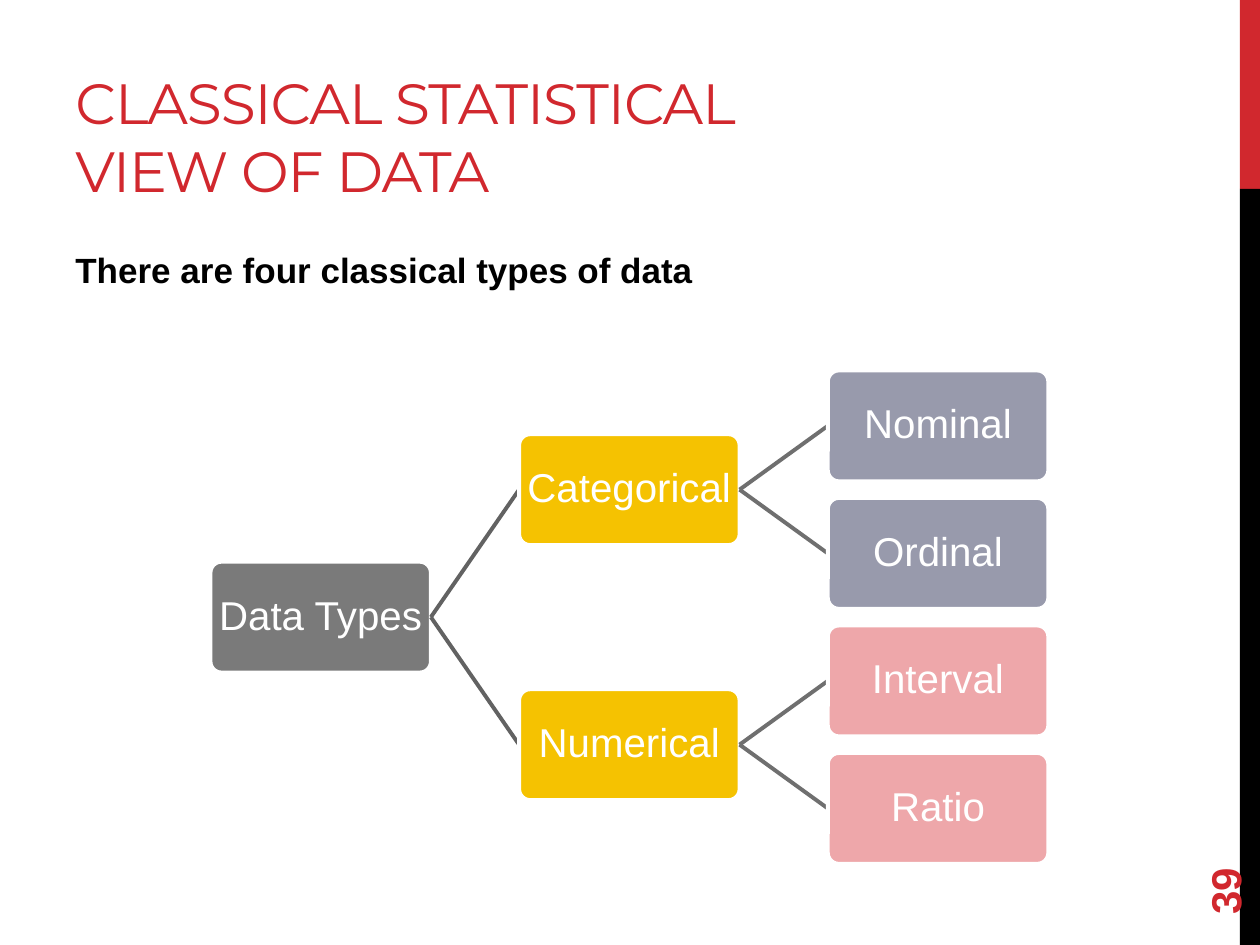
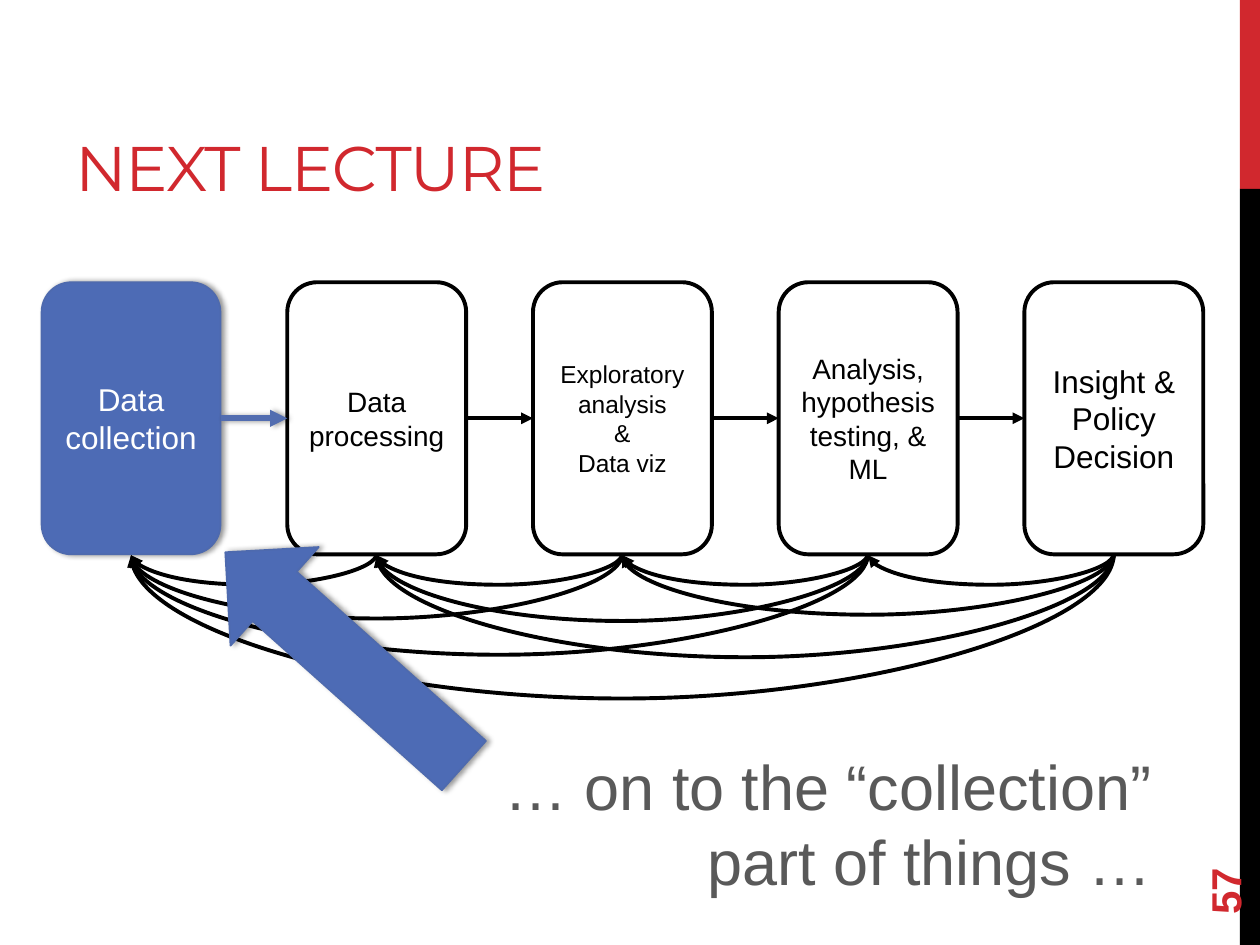
"""Builds two lecture slides: a tree of data types and the data lifecycle."""
from lxml import etree
from pptx import Presentation
from pptx.dml.color import RGBColor
from pptx.enum.shapes import MSO_CONNECTOR, MSO_SHAPE
from pptx.enum.text import MSO_ANCHOR, PP_ALIGN
from pptx.oxml.ns import qn
from pptx.util import Inches, Pt

RECT, ROUNDED, DOWN_ARROW = MSO_SHAPE.RECTANGLE, MSO_SHAPE.ROUNDED_RECTANGLE, MSO_SHAPE.DOWN_ARROW
STRAIGHT, CURVE = MSO_CONNECTOR.STRAIGHT, MSO_CONNECTOR.CURVE
LEFT, CENTER, RIGHT = PP_ALIGN.LEFT, PP_ALIGN.CENTER, PP_ALIGN.RIGHT
TOP, MIDDLE, BOTTOM = MSO_ANCHOR.TOP, MSO_ANCHOR.MIDDLE, MSO_ANCHOR.BOTTOM

RED = RGBColor(0xD1, 0x28, 0x2E)
BLACK = RGBColor(0x00, 0x00, 0x00)
WHITE = RGBColor(0xFF, 0xFF, 0xFF)
GRAY = RGBColor(0x7A, 0x7A, 0x7A)
YELLOW = RGBColor(0xF5, 0xC2, 0x01)
SLATE = RGBColor(0x98, 0x9A, 0xAC)
PINK = RGBColor(0xEE, 0xA7, 0xAA)
ROOT_BRANCH = RGBColor(0x62, 0x62, 0x62)
LEAF_BRANCH = RGBColor(0x6F, 0x6F, 0x6F)
BLUE = RGBColor(0x4D, 0x6B, 0xB5)
BLUE_EDGE = RGBColor(0x4E, 0x6A, 0xAE)
BLUE_LINK = RGBColor(0x52, 0x6D, 0xB0)
CAPTION_GRAY = RGBColor(0x59, 0x59, 0x59)

TYPES_TITLE = ("CLASSICAL STATISTICAL VIEW OF DATA", 32.4, "39")
NEXT_TITLE = ("NEXT LECTURE", 36, "57")
TYPES_INTRO = "There are four classical types of data"
NEXT_CAPTION = "… on to the “collection” part of things …"

DATA_TYPES = ("Data Types", GRAY, 1.5, [
    ("Categorical", YELLOW, 0.5, [("Nominal", SLATE, 0, []), ("Ordinal", SLATE, 1, [])]),
    ("Numerical", YELLOW, 2.5, [("Interval", PINK, 2, []), ("Ratio", PINK, 3, [])]),
])
BRANCH_COLORS = [ROOT_BRANCH, LEAF_BRANCH]
NODE_W, NODE_H, NODE_INSET = 1.75, 0.88, 0.01
TREE_LEFT, TREE_TOP = 1.67, 2.94
LEVEL_PITCH, ROW_PITCH = NODE_W * 1.4, NODE_H * 1.15

STAGES = [
    (["Data collection"], 18),
    (["Data processing"], 16),
    (["Exploratory analysis", "&", "Data viz"], 14),
    (["Analysis, hypothesis testing, & ML"], 16),
    (["Insight & Policy Decision"], 18),
]
LOOP_DEPTHS = {
    (1, 0): 0.25,
    (2, 1): 0.25, (2, 0): 0.52,
    (3, 2): 0.25, (3, 1): 0.54, (3, 0): 0.81,
    (4, 3): 0.25, (4, 2): 0.49, (4, 1): 0.83, (4, 0): 1.16,
}
STAGE_LEFT, STAGE_TOP, STAGE_W, STAGE_H, STAGE_PITCH = 0.33, 2.24, 1.42, 2.16, 1.95
BOTTOM_SITE, RIGHT_SITE, LEFT_SITE = 2, 3, 1


def add_effects(part, shadowed=False):
    effects = etree.SubElement(part._element.spPr, qn("a:effectLst"))
    if shadowed:
        shadow = etree.SubElement(effects, qn("a:outerShdw"), blurRad=str(Pt(3.1)),
                                  dist=str(Pt(1.8)), dir="0", rotWithShape="0")
        tint = etree.SubElement(shadow, qn("a:srgbClr"), val="000000")
        etree.SubElement(tint, qn("a:alpha"), val="40000")


def write(part, lines, size, color, align=LEFT, anchor=TOP, font="Arial", bold=False):
    frame = part.text_frame
    frame.word_wrap = True
    frame.vertical_anchor = anchor
    frame.text = "\n".join(lines)
    for paragraph in frame.paragraphs:
        paragraph.alignment = align
        paragraph.font.name = font
        paragraph.font.size = Pt(size)
        paragraph.font.bold = bold
        paragraph.font.color.rgb = color
    return frame


def add_text(slide, box, lines, size, color, **style):
    part = slide.shapes.add_textbox(*map(Inches, box))
    write(part, lines, size, color, **style)
    return part


def add_block(slide, kind, box, fill, edge=None, edge_width=2.25, shadowed=False):
    block = slide.shapes.add_shape(kind, *map(Inches, box))
    block.fill.solid()
    block.fill.fore_color.rgb = fill
    if edge is None:
        block.line.fill.background()
    else:
        block.line.color.rgb = edge
        block.line.width = Pt(edge_width)
    add_effects(block, shadowed)
    return block


def add_line(slide, kind, ends, color, width=2.25, arrow=False, shadowed=False):
    line = slide.shapes.add_connector(kind, *map(Inches, ends))
    line.line.color.rgb = color
    line.line.width = Pt(width)
    if arrow:
        etree.SubElement(line.line._get_or_add_ln(), qn("a:tailEnd"), type="triangle")
    add_effects(line, shadowed)
    return line


def new_slide(deck, title, title_size, number):
    slide = deck.slides.add_slide(deck.slide_layouts[6])
    add_block(slide, RECT, (9.84, 0, 0.16, 1.5), RED)
    add_block(slide, RECT, (9.84, 1.5, 0.16, 6), BLACK)
    heading = add_text(slide, (0.5, 0.17, 6.33, 1.5), [title], title_size, RED,
                       anchor=BOTTOM, font="Montserrat")
    heading.text_frame.paragraphs[0].runs[0].font._element.set("spc", "-60")
    page = add_text(slide, (9, 6.44, 1.44, 0.4), [number], 24, RED, anchor=MIDDLE, bold=True)
    page.rotation = 270
    return slide


def draw_tree(slide, node, level=0):
    label, fill, row, children = node
    left = TREE_LEFT + level * LEVEL_PITCH
    top = TREE_TOP + row * ROW_PITCH
    block = add_block(slide, ROUNDED, (left, top, NODE_W, NODE_H), fill, WHITE)
    block.adjustments[0] = 0.1
    frame = write(block, [label], 23, WHITE, CENTER, MIDDLE)
    frame.margin_left = frame.margin_right = Inches(NODE_INSET)
    frame.margin_top = frame.margin_bottom = Inches(NODE_INSET)
    frame.paragraphs[0].line_spacing = 0.9
    for child in children:
        child_middle = TREE_TOP + child[2] * ROW_PITCH + NODE_H / 2
        add_line(slide, STRAIGHT,
                 (left + NODE_W, top + NODE_H / 2, left + LEVEL_PITCH, child_middle),
                 BRANCH_COLORS[level])
        draw_tree(slide, child, level + 1)


def add_stage(slide, index, lines, size):
    current = index == 0
    fill, edge, ink, width = (BLUE, BLUE_EDGE, WHITE, 1) if current else (WHITE, BLACK, BLACK, 2.25)
    box = (STAGE_LEFT + index * STAGE_PITCH, STAGE_TOP, STAGE_W, STAGE_H)
    stage = add_block(slide, ROUNDED, box, fill, edge, width, current)
    write(stage, lines, size, ink, CENTER, MIDDLE)
    return stage


def link(line, start, start_site, end, end_site):
    line.begin_connect(start, start_site)
    line.end_connect(end, end_site)


def add_loop(slide, stages, source, target, depth):
    loop = add_line(slide, CURVE, (0, 0, 1, 1), BLACK, arrow=True)
    link(loop, stages[source], BOTTOM_SITE, stages[target], BOTTOM_SITE)
    span = (source - target) * STAGE_PITCH
    middle = STAGE_LEFT + STAGE_W / 2 + (source + target) / 2 * STAGE_PITCH
    properties = loop._element.spPr
    properties.xfrm.flipH = properties.xfrm.flipV = False
    properties.xfrm.rot = 90
    loop.width, loop.height = Pt(1), Inches(span)
    loop.left = Inches(middle) - Pt(0.5)
    loop.top = Inches(STAGE_TOP + STAGE_H - span / 2)
    bend = round(Inches(depth) / Pt(1) * 100000)
    guides = properties.find(".//" + qn("a:avLst"))
    etree.SubElement(guides, qn("a:gd"), name="adj1", fmla=f"val {bend}")


def build_types_slide(deck):
    slide = new_slide(deck, *TYPES_TITLE)
    add_text(slide, (0.5, 1.92, 8.33, 0.5), [TYPES_INTRO], 20, BLACK, bold=True)
    draw_tree(slide, DATA_TYPES)


def build_next_slide(deck):
    slide = new_slide(deck, *NEXT_TITLE)
    stages = [add_stage(slide, index, *stage) for index, stage in enumerate(STAGES)]
    for index, (start, end) in enumerate(zip(stages, stages[1:])):
        color, width = (BLUE_LINK, 3.25) if index == 0 else (BLACK, 2.25)
        step = add_line(slide, STRAIGHT, (0, 0, 1, 1), color, width, True, index == 0)
        link(step, start, RIGHT_SITE, end, LEFT_SITE)
    for (source, target), depth in LOOP_DEPTHS.items():
        add_loop(slide, stages, source, target, depth)
    pointer = add_block(slide, DOWN_ARROW, (2.21, 3.96, 1.05, 2.54), BLUE, BLUE_EDGE, 1, True)
    pointer.rotation = 131.8
    add_text(slide, (3.57, 5.88, 5.67, 1.31), [NEXT_CAPTION], 36, CAPTION_GRAY, align=RIGHT)


def main():
    deck = Presentation()
    deck.slide_width, deck.slide_height = Inches(10), Inches(7.5)
    build_types_slide(deck)
    build_next_slide(deck)
    deck.save("out.pptx")


if __name__ == "__main__":
    main()
